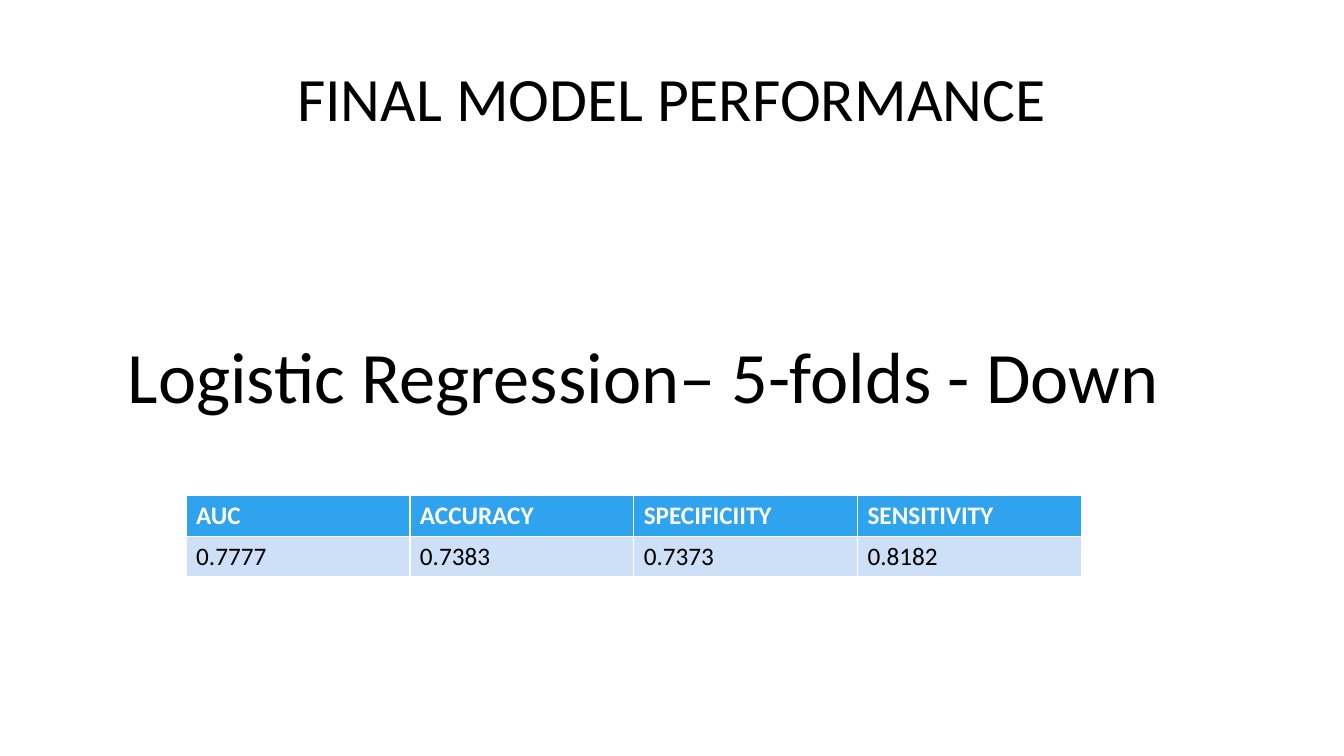
from pptx import Presentation
from pptx.dml.color import RGBColor
from pptx.enum.text import MSO_ANCHOR as Anchor, PP_ALIGN as Align
from pptx.util import Cm, Pt

FONT = "Calibri"
BLACK, WHITE, HEADER_BLUE, ROW_BLUE = "000000", "FFFFFF", "2FA3EE", "CDE0F8"

# text, (left, top, width, height) in cm, font size, paragraph format
HEADINGS = [
    ("FINAL MODEL PERFORMANCE", (2.34, 0.71, 29.18, 2.82), 44,
     {"alignment": Align.CENTER, "line_spacing": 0.9}),
    ("Logistic Regression– 5-folds - Down", (2.97, 8.36, 29.21, 2.34), 51.7,
     {"alignment": Align.LEFT, "line_spacing": 0.9, "space_after": Pt(6)}),
]

METRICS = [
    ("AUC", "ACCURACY", "SPECIFICIITY", "SENSITIVITY"),
    ("0.7777", "0.7383", "0.7373", "0.8182"),
]
# fill, font colour, bold
ROW_STYLES = [(HEADER_BLUE, WHITE, True), (ROW_BLUE, BLACK, False)]
TABLE_LEFT, TABLE_TOP = 4.69, 12.48
COL_WIDTH, ROW_HEIGHT = 5.64, 1.03


def rgb(hex_colour):
    return RGBColor.from_string(hex_colour)


def write(tf, text, size, colour, bold=False, para_format=None):
    p = tf.paragraphs[0]
    for name, value in (para_format or {}).items():
        setattr(p, name, value)
    r = p.add_run()
    r.text = text
    for name, value in {"name": FONT, "size": Pt(size), "bold": bold}.items():
        setattr(r.font, name, value)
    r.font.color.rgb = rgb(colour)


def add_heading(s, text, box, size, para_format):
    tf = s.shapes.add_textbox(*map(Cm, box)).text_frame
    tf.word_wrap = True
    tf.vertical_anchor = Anchor.BOTTOM
    write(tf, text, size, BLACK, para_format=para_format)


def add_metrics_table(s):
    n_rows, n_cols = len(METRICS), len(METRICS[0])
    table = s.shapes.add_table(
        n_rows, n_cols, Cm(TABLE_LEFT), Cm(TABLE_TOP),
        Cm(COL_WIDTH * n_cols), Cm(ROW_HEIGHT * n_rows)).table
    for row, texts, (fill, colour, bold) in zip(table.rows, METRICS, ROW_STYLES):
        for cell, text in zip(row.cells, texts):
            cell.fill.solid()
            cell.fill.fore_color.rgb = rgb(fill)
            write(cell.text_frame, text, 18, colour, bold)


def main():
    prs = Presentation()
    prs.slide_width, prs.slide_height = Cm(33.87), Cm(19.05)
    s = prs.slides.add_slide(prs.slide_layouts[6])
    for heading in HEADINGS:
        add_heading(s, *heading)
    add_metrics_table(s)
    prs.save("out.pptx")


if __name__ == "__main__":
    main()
